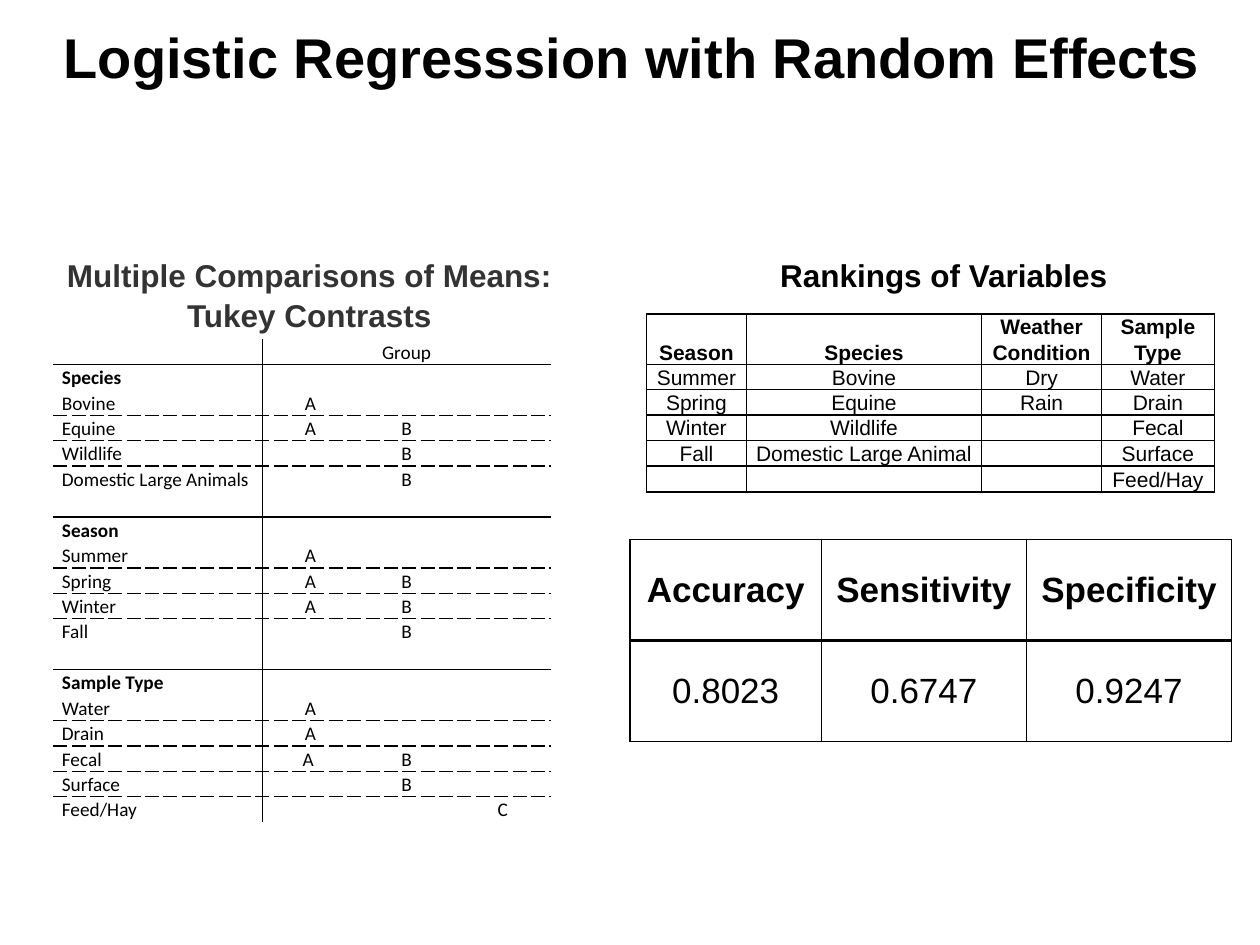
from dataclasses import dataclass
from typing import Callable, NamedTuple, Optional

from lxml import etree
from pptx import Presentation
from pptx.dml.color import RGBColor
from pptx.enum import text as t
from pptx.oxml.ns import qn
from pptx.util import Pt

HUES = {"ink": "000000", "gray": "333333"}
MID, LEFT = t.PP_ALIGN.CENTER, t.PP_ALIGN.LEFT
BASE, HALF = t.MSO_ANCHOR.BOTTOM, t.MSO_ANCHOR.MIDDLE
PLAIN = "{2D5ABB26-0587-4C30-8999-92F81FD0307C}"


class Edge(NamedTuple):
    width: float
    dash: str = "solid"


class Label(NamedTuple):
    text: str
    box: tuple
    size: float
    hue: str = "ink"
    wrap: bool = True
    line: Optional[float] = 1.07
    after: float = 8
    anchor: t.MSO_ANCHOR = t.MSO_ANCHOR.TOP


@dataclass
class Grid:
    """A table; edges gives a cell's left, right, top and bottom border."""
    at: tuple
    cols: list
    rows: list
    words: list
    font: str
    size: float
    edges: Callable
    bold: Callable
    pads: tuple
    anchor: Callable
    align: Callable = lambda col: MID
    line: Optional[float] = None
    after: float = 0
    spans: tuple = ()


def write(para, words: str, font: str, size: float, bold: bool, hue: str = "ink"):
    run = para.add_run()
    run.text = words
    run.font.name, run.font.size, run.font.bold = font, Pt(size), bold
    run.font.color.rgb = RGBColor.from_string(HUES[hue])


def space(para, align, line: Optional[float], after: float):
    para.alignment = align
    para.space_after = Pt(after)
    if line:
        para.line_spacing = line


def border(cell, edges: tuple):
    props = cell._tc.get_or_add_tcPr()
    for side, edge in zip("LRTB", edges):
        width = Pt(edge.width) if edge else 0
        ln = etree.SubElement(props, qn(f"a:ln{side}"), w=str(width))
        if edge:
            fill = etree.SubElement(ln, qn("a:solidFill"))
            etree.SubElement(fill, qn("a:srgbClr"), val=HUES["ink"])
            etree.SubElement(ln, qn("a:prstDash"), val=edge.dash)
        else:
            etree.SubElement(ln, qn("a:noFill"))


def draw(slide, grid: Grid):
    size = sum(grid.cols), sum(grid.rows)
    frame = slide.shapes.add_table(len(grid.rows), len(grid.cols),
                                   *map(Pt, grid.at + size))
    table = frame.table
    table.first_row = table.horz_banding = False
    table._tbl.tblPr.find(qn("a:tableStyleId")).text = PLAIN
    for col, width in zip(table.columns, grid.cols):
        col.width = Pt(width)
    for row, height in zip(table.rows, grid.rows):
        row.height = Pt(height)
    for row in grid.spans:
        table.cell(row, 1).merge(table.cell(row, len(grid.cols) - 1))
    for r, line in enumerate(grid.words):
        for c, words in enumerate(line):
            cell = table.cell(r, c)
            border(cell, grid.edges(r, c))
            cell.fill.background()
            (cell.margin_left, cell.margin_top,
             cell.margin_right, cell.margin_bottom) = map(Pt, grid.pads)
            cell.vertical_anchor = grid.anchor(r)
            para = cell.text_frame.paragraphs[0]
            space(para, grid.align(c), grid.line, grid.after)
            if words:
                write(para, words, grid.font, grid.size, grid.bold(r))
            else:  # an empty cell must not stretch its row
                etree.SubElement(para._p, qn("a:endParaRPr"),
                                 sz=str(int(grid.size * 100)))


def label(slide, item: Label):
    frame = slide.shapes.add_textbox(*map(Pt, item.box)).text_frame
    frame.word_wrap = item.wrap
    frame.vertical_anchor = item.anchor
    para = frame.paragraphs[0]
    space(para, MID, item.line, item.after)
    write(para, item.text, "Arial", item.size, True, item.hue)


GROUPS = {
    "Species": [("Bovine", "A", "", ""), ("Equine", "A", "B", ""),
                ("Wildlife", "", "B", ""),
                ("Domestic Large Animals", "", "B", "")],
    "Season": [("Summer", "A", "", ""), ("Spring", "A", "B", ""),
               ("Winter", "A", "B", ""), ("Fall", "", "B", "")],
    "Sample Type": [("Water", "A", "", ""), ("Drain", "A", "", ""),
                    ("Fecal", "A ", "B", ""), ("Surface", "", "B", ""),
                    ("Feed/Hay", "", "", "C")],
}
RANKS = [
    ("Season", "Species", "Weather Condition", "Sample Type"),
    ("Summer", "Bovine", "Dry", "Water"),
    ("Spring", "Equine", "Rain", "Drain"),
    ("Winter", "Wildlife", "", "Fecal"),
    ("Fall", "Domestic Large Animal", "", "Surface"),
    ("", "", "", "Feed/Hay"),
]
SCORES = [("Accuracy", "Sensitivity", "Specificity"),
          ("0.8023", "0.6747", "0.9247")]
THIN, FULL, THICK, DASH = Edge(0.5), Edge(1), Edge(2), Edge(1, "dash")


def means() -> Grid:
    """Lists the groups, a blank row between them, dashes between members."""
    words, under = [("", "Group", "", "")], [FULL]
    for name, members in GROUPS.items():
        if len(words) > 1:
            words.append(("",) * 4)
            under.append(FULL)
        words += [(name, "", "", "")] + members
        under += [None] + [DASH] * (len(members) - 1) + [None]

    def edges(r, c):
        return (FULL if c == 1 else None, FULL if c == 0 else None,
                under[r - 1] if r else None, under[r])

    return Grid((30.4, 193.7), [119.5] + [55] * 3, [14.47] * len(words), words,
                "Calibri", 11, edges, lambda r: words[r][0] in GROUPS,
                (5, 0, 5, 0), lambda r: BASE,
                lambda c: MID if c else LEFT, 1.07, spans=(0, 1))


def ranks() -> Grid:
    return Grid((369.5, 179.5), [57, 134.5, 68.5, 64.5], [28.5] + [14.4] * 5,
                RANKS, "Arial", 12, lambda r, c: (FULL,) * 4,
                lambda r: r == 0, (5, 0, 5, 0),
                lambda r: HALF if r else BASE, line=1.07, after=8)


def scores() -> Grid:
    def edges(r, c):
        return (THIN if c else FULL, FULL if c == 2 else THIN,
                THICK if r else FULL, THIN if r else THICK)

    return Grid((360, 308.2), [109.4, 117.2, 117.2], [57.6] * 2, SCORES,
                "Arial", 20, edges, lambda r: r == 0, (0.7, 0.7, 0.7, 0),
                lambda r: HALF)


LABELS = [
    Label("Rankings of Variables", (437.8, 141.1, 203, 29.5), 18, wrap=False),
    Label("Multiple Comparisons of Means: Tukey Contrasts",
          (14.4, 141.1, 324.7, 52.6), 18, "gray"),
    Label("Logistic Regresssion with Random Effects", (1.4, 0, 720, 64), 32,
          line=None, after=0, anchor=HALF),
]


def main():
    deck = Presentation()
    deck.slide_width, deck.slide_height = Pt(720), Pt(540)
    slide = deck.slides.add_slide(deck.slide_layouts[6])
    draw(slide, means())
    draw(slide, ranks())
    for item in LABELS:
        label(slide, item)
    draw(slide, scores())
    deck.save("out.pptx")


if __name__ == "__main__":
    main()
